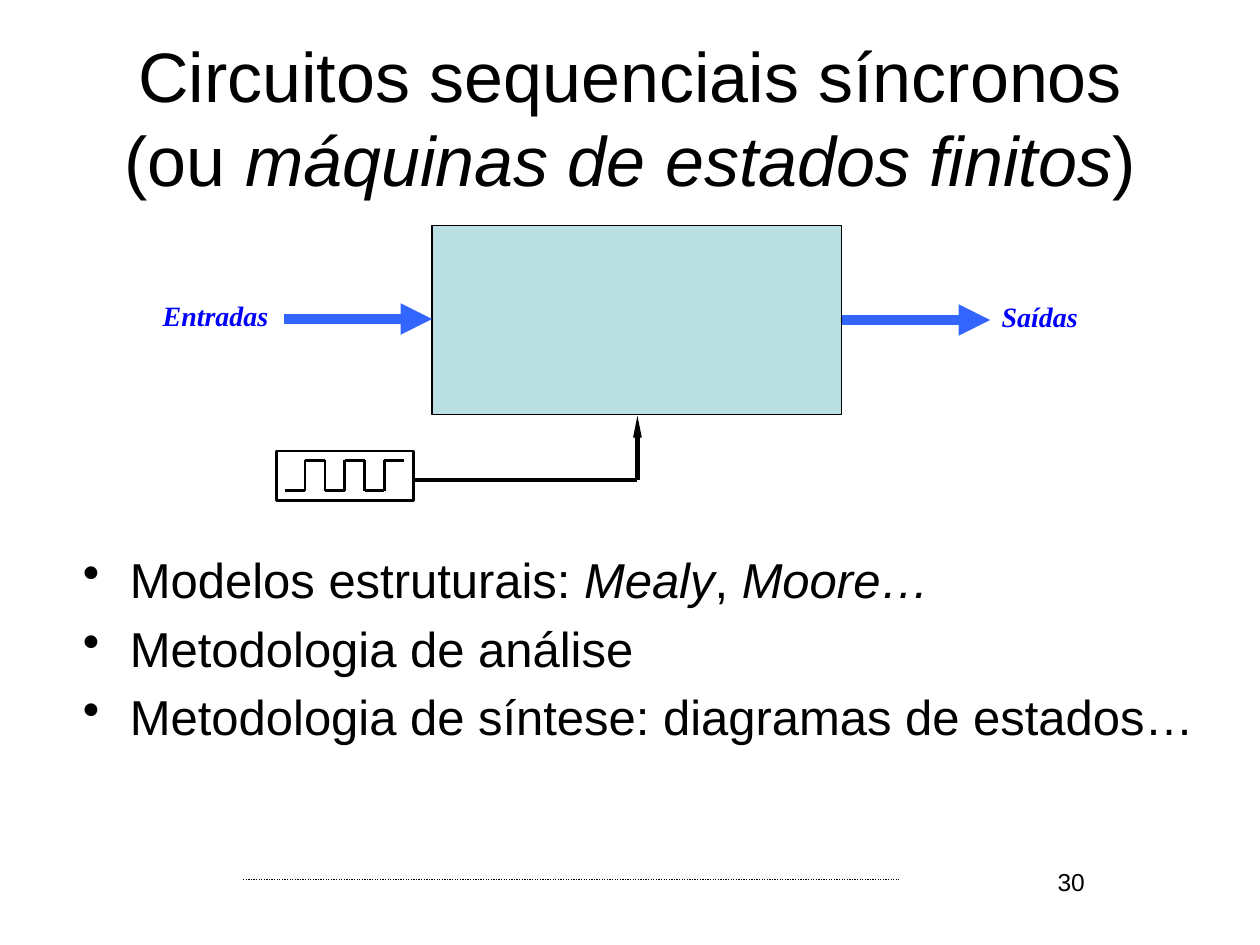
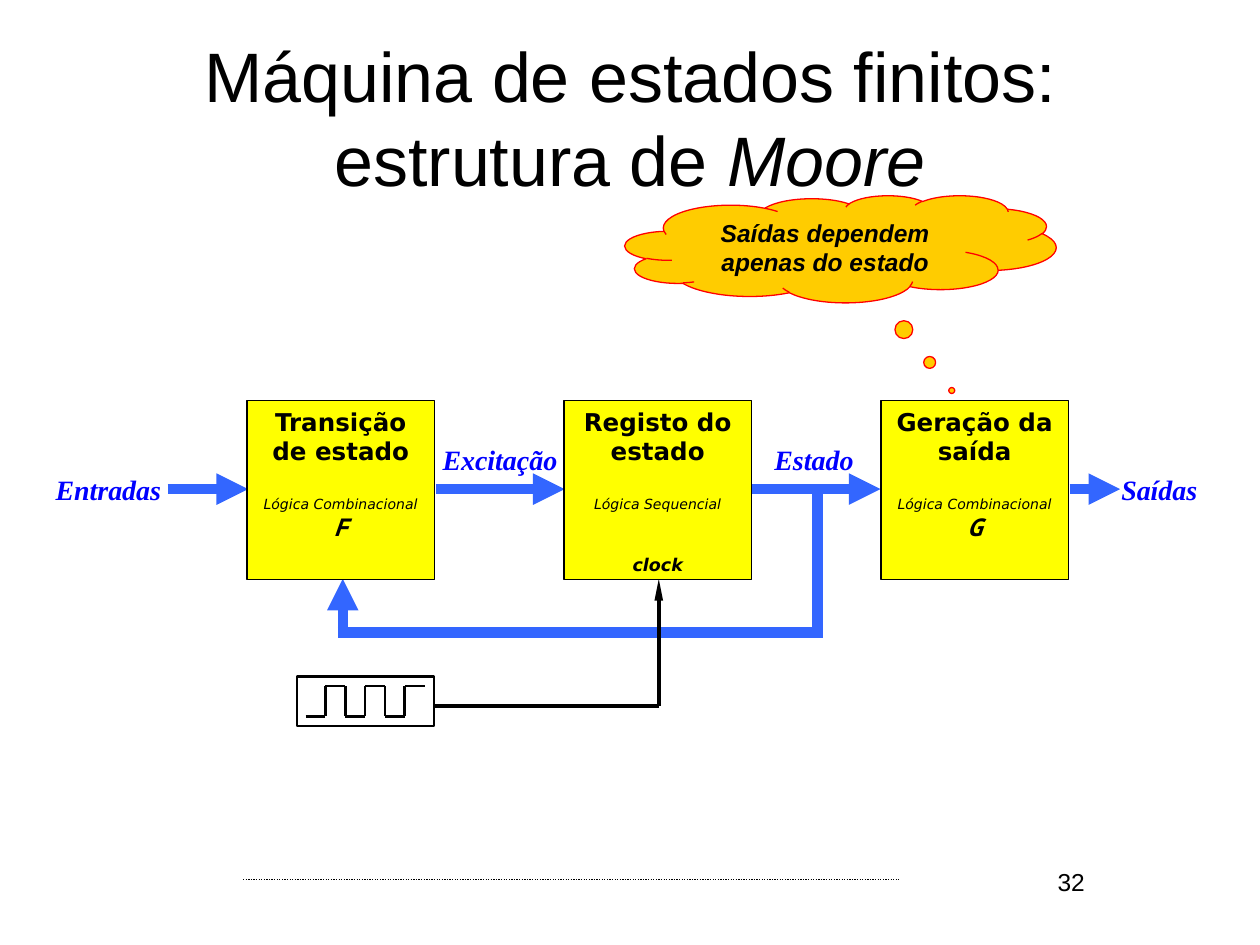
from itertools import pairwise

from lxml.etree import SubElement
from pptx import Presentation
from pptx.dml.color import RGBColor
from pptx.enum.dml import MSO_LINE
from pptx.enum.shapes import MSO_CONNECTOR, MSO_SHAPE
from pptx.enum.text import MSO_ANCHOR, MSO_AUTO_SIZE, PP_ALIGN
from pptx.oxml.ns import qn
from pptx.util import Cm, Pt

COLOURS = {
    "ink": "000000",
    "signal": "3366FF",
    "label": "0000FF",
    "machine": "BBE0E3",
    "block": "FFFF00",
    "cloud": "FFCC00",
    "cloud_edge": "FF0000",
}
SANS, SERIF, BLOCK, MONO = "Arial", "Times New Roman", "DejaVu Sans", "Noto Sans Mono"


class Deck:
    """Holds the shared style and the current slide, and draws each kind of element."""

    def __init__(self):
        self.prs = Presentation()
        self.prs.slide_width, self.prs.slide_height = Cm(25.4), Cm(19.05)
        self.slide = None

    def colour(self, name):
        return RGBColor.from_string(COLOURS[name])

    def style(self, paragraph, size, font=SANS, colour="ink", bold=False, italic=None,
              align=PP_ALIGN.CENTER, before=0):
        paragraph.alignment = align
        paragraph.space_before = Pt(before)
        paragraph.font.size = Pt(size)
        paragraph.font.name = font
        paragraph.font.bold = bold
        paragraph.font.italic = italic
        paragraph.font.color.rgb = self.colour(colour)

    def add_pieces(self, paragraph, pieces):
        for text, italic in pieces:
            if text == "\n":
                paragraph.add_line_break()
                continue
            run = paragraph.add_run()
            run.text = text
            run.font.italic = italic

    def new_slide(self, number, title):
        self.slide = self.prs.slides.add_slide(self.prs.slide_layouts[5])
        heading = self.slide.shapes.title
        heading.left, heading.top, heading.width, heading.height = map(
            Cm, (1.27, 0.76, 22.86, 3.18))
        frame = heading.text_frame
        frame.auto_size = MSO_AUTO_SIZE.NONE
        frame.vertical_anchor = MSO_ANCHOR.MIDDLE
        self.add_pieces(frame.paragraphs[0], title)
        self.style(frame.paragraphs[0], 40)
        self.line((4.9, 17.73), (18.11, 17.73), width=0.75).dash_style = MSO_LINE.ROUND_DOT
        self.text((19.1, 17.35, 3.02, 1.32), str(number), size=14, align=PP_ALIGN.RIGHT)

    def frame(self, box):
        frame = self.slide.shapes.add_textbox(*map(Cm, box)).text_frame
        frame.word_wrap = True
        return frame

    def text(self, box, text, **style):
        paragraph = self.frame(box).paragraphs[0]
        paragraph.text = text
        self.style(paragraph, **style)

    def label(self, box, text):
        self.text(box, text, size=16, font=SERIF, colour="label", bold=True, italic=True)

    def bullets(self, box, items):
        frame = self.frame(box)
        for index, pieces in enumerate(items):
            paragraph = frame.add_paragraph() if index else frame.paragraphs[0]
            self.add_pieces(paragraph, pieces)
            self.style(paragraph, 28, align=PP_ALIGN.LEFT, before=5.6)
            properties = paragraph._p.get_or_add_pPr()
            properties.set("marL", str(Cm(0.95)))
            properties.set("indent", str(-Cm(0.95)))
            bullet = properties.makeelement(qn("a:buChar"), {"char": "•"})
            properties.find(qn("a:defRPr")).addprevious(bullet)

    def line(self, start, end, colour="ink", width=2.5, head=None):
        connector = self.slide.shapes.add_connector(
            MSO_CONNECTOR.STRAIGHT, *map(Cm, (*start, *end)))
        connector.line.color.rgb = self.colour(colour)
        connector.line.width = Pt(width)
        if head:
            breadth, length = head
            SubElement(connector.line._get_or_add_ln(), qn("a:tailEnd"),
                       type="triangle", w=breadth, len=length)
        SubElement(connector._element.spPr, qn("a:effectLst"))
        return connector.line

    def signal(self, start, end, arrow=True):
        self.line(start, end, "signal", 6, ("med", "med") if arrow else None)

    def shape(self, kind, box, fill=None, edge="ink", width=0.75):
        shape = self.slide.shapes.add_shape(kind, *map(Cm, box))
        shape.shadow.inherit = False
        if fill:
            shape.fill.solid()
            shape.fill.fore_color.rgb = self.colour(fill)
        else:
            shape.fill.background()
        shape.line.color.rgb = self.colour(edge)
        shape.line.width = Pt(width)
        shape.text_frame.word_wrap = True
        shape.text_frame.vertical_anchor = MSO_ANCHOR.TOP
        return shape

    def block(self, box, name, logic, detail, **detail_style):
        frame = self.shape(MSO_SHAPE.RECTANGLE, box, "block").text_frame
        rows = [
            (name, dict(size=14, font=BLOCK, bold=True)),
            (logic, dict(size=8, font=BLOCK, italic=True, before=17)),
            (detail, dict(bold=True, italic=True, **detail_style)),
        ]
        for index, (text, style) in enumerate(rows):
            paragraph = frame.add_paragraph() if index else frame.paragraphs[0]
            paragraph.text = text
            self.style(paragraph, **style)

    def clock(self, left, top, wire_y, target):
        low, high, step = top + 0.8, top + 0.19, 0.4
        wave = [(left + 0.17 + step * (i + side), high if i % 2 else low)
                for i in range(6) for side in (0, 1)]
        for start, end in pairwise(wave):
            self.line(start, end, width=1.5)
        self.shape(MSO_SHAPE.RECTANGLE, (left, top, 2.76, 1), width=1.5)
        corner = (target[0], wire_y)
        self.line((left + 2.76, wire_y), corner)
        self.line(corner, target, head=("sm", "lg"))


def synchronous_circuits(deck):
    deck.new_slide(30, [("Circuitos sequenciais síncronos", False), ("\n", False),
                        ("(ou ", False), ("máquinas de estados finitos", True), (")", False)])
    deck.bullets((1.42, 10.95, 23.32, 5.11), [
        [("Modelos estruturais: ", False), ("Mealy", True), (", ", False), ("Moore…", True)],
        [("Metodologia de análise", False)],
        [("Metodologia de síntese: diagramas de estados…", False)],
    ])
    deck.shape(MSO_SHAPE.RECTANGLE, (8.71, 4.55, 8.26, 3.81), "machine")
    deck.signal((5.72, 6.43), (8.71, 6.43))
    deck.signal((16.97, 6.45), (19.96, 6.45))
    deck.label((2.95, 5.89, 2.79, 0.86), "Entradas")
    deck.label((19.84, 5.92, 2.24, 0.86), "Saídas")
    deck.clock(5.58, 9.09, 9.68, (12.85, 8.38))


def moore_structure(deck):
    deck.new_slide(32, [("Máquina de estados finitos: estrutura de ", False), ("Moore", True)])
    cloud = deck.shape(MSO_SHAPE.CLOUD_CALLOUT, (12.6, 3.94, 8.69, 2.16), "cloud", "cloud_edge")
    cloud.adjustments[0], cloud.adjustments[1] = 0.258, 1.321
    remark = cloud.text_frame.paragraphs[0]
    remark.text = "Saídas dependem apenas do estado"
    deck.style(remark, 14, bold=True, italic=True)

    signal_y, feedback_y, block_bottom = 9.86, 12.75, 11.67
    for start, end in [(8.79, 11.38), (15.16, 17.75), (3.38, 5), (21.56, 22.58)]:
        deck.signal((start, signal_y), (end, signal_y))
    deck.signal((6.81, feedback_y), (16.59, feedback_y), arrow=False)
    deck.signal((16.48, 12.83), (16.48, 9.83), arrow=False)
    deck.signal((6.91, feedback_y), (6.91, block_bottom))
    deck.label((0.79, 9.4, 2.79, 0.86), "Entradas")
    deck.label((8.48, 8.79, 3.2, 0.86), "Excitação")
    deck.label((15.14, 8.79, 2.54, 0.86), "Estado")
    deck.label((22.25, 9.4, 2.24, 0.86), "Saídas")
    deck.clock(5.99, 13.64, 14.23, (13.28, block_bottom))

    function = dict(size=14, font=MONO)
    blocks = [
        ("Transição de estado", "Lógica Combinacional", "F", function),
        ("Registo do estado", "Lógica Sequencial", "clock",
         dict(size=10, font=BLOCK, before=24)),
        ("Geração da saída", "Lógica Combinacional", "G", function),
    ]
    for index, (name, logic, detail, style) in enumerate(blocks):
        deck.block((4.98 + 6.39 * index, 8.08, 3.78, 3.61), name, logic, detail, **style)


def main():
    deck = Deck()
    synchronous_circuits(deck)
    moore_structure(deck)
    deck.prs.save("out.pptx")


if __name__ == "__main__":
    main()
